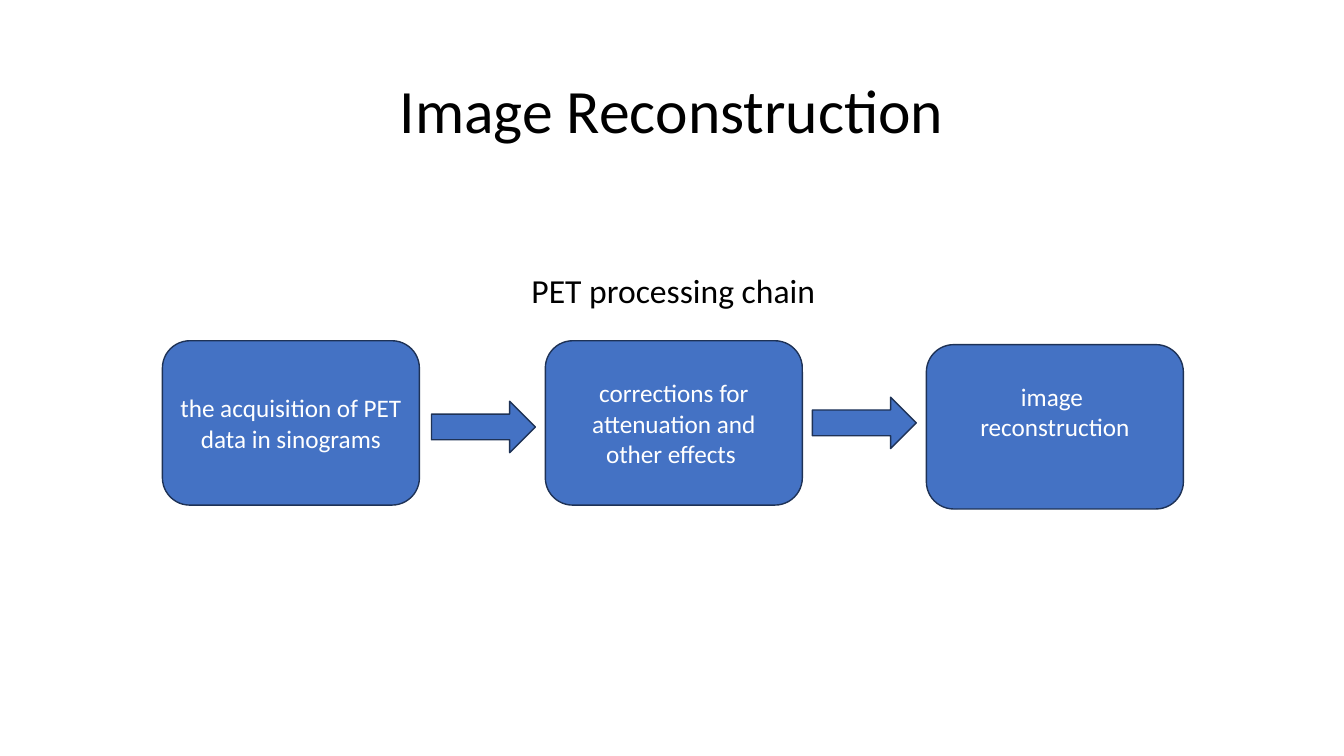
import pptx
import pptx.dml.color
import pptx.enum.shapes
import pptx.enum.text
import pptx.util

Pt = pptx.util.Pt
RGB = pptx.dml.color.RGBColor.from_string
SHAPES = pptx.enum.shapes.MSO_SHAPE
CENTER = pptx.enum.text.PP_ALIGN.CENTER
MIDDLE = pptx.enum.text.MSO_ANCHOR.MIDDLE

THEME = {
    "font": "Calibri",
    "ink": RGB("000000"),
    "on_fill": RGB("FFFFFF"),
    "fill": RGB("4472C4"),
    "outline": RGB("1E3256"),
    "title": Pt(44),
    "heading": Pt(24),
    "step": Pt(18),
}


def write(frame, lines, size, color):
    frame.word_wrap = True
    for index, line in enumerate(lines):
        paragraph = frame.add_paragraph() if index else frame.paragraphs[0]
        paragraph.alignment = CENTER
        run = paragraph.add_run()
        run.text = line
        run.font.name = THEME["font"]
        run.font.size = size
        run.font.color.rgb = color


def add_block(kind, left, top, width, height):
    block = slide.shapes.add_shape(kind, Pt(left), Pt(top), Pt(width), Pt(height))
    block.shadow.inherit = False
    block.fill.solid()
    block.fill.fore_color.rgb = THEME["fill"]
    block.line.color.rgb = THEME["outline"]
    block.line.width = Pt(1)
    return block


deck = pptx.Presentation()
deck.slide_width, deck.slide_height = Pt(960), Pt(540)
slide = deck.slides.add_slide(deck.slide_layouts[5])

title = slide.shapes.title
title.left, title.top, title.width, title.height = Pt(66), Pt(28.8), Pt(828), Pt(104.4)
title.text_frame.vertical_anchor = MIDDLE
write(title.text_frame, ["Image Reconstruction"], THEME["title"], THEME["ink"])
title.text_frame.paragraphs[0].line_spacing = 0.9

heading = slide.shapes.add_textbox(Pt(367.2), Pt(189.4), Pt(227.5), Pt(36))
write(heading.text_frame, ["PET processing chain"], THEME["heading"], THEME["ink"])
heading.text_frame.auto_size = pptx.enum.text.MSO_AUTO_SIZE.SHAPE_TO_FIT_TEXT

steps = [
    (116, 243.4, 3.6, ["the acquisition of PET data in sinograms"]),
    (389.5, 243.4, 3.6, ["corrections for attenuation and other effects "]),
    (661.7, 246.2, 25.6, ["image ", "reconstruction"]),
]
for left, top, bottom_inset, lines in steps:
    step = add_block(SHAPES.ROUNDED_RECTANGLE, left, top, 183.6, 117.4)
    step.text_frame.vertical_anchor = MIDDLE
    step.text_frame.margin_bottom = Pt(bottom_inset)
    write(step.text_frame, lines, THEME["step"], THEME["on_fill"])

for left, top in [(308.2, 286.6), (580.3, 283.7)]:
    add_block(SHAPES.RIGHT_ARROW, left, top, 74.2, 36.7)

deck.save("out.pptx")
